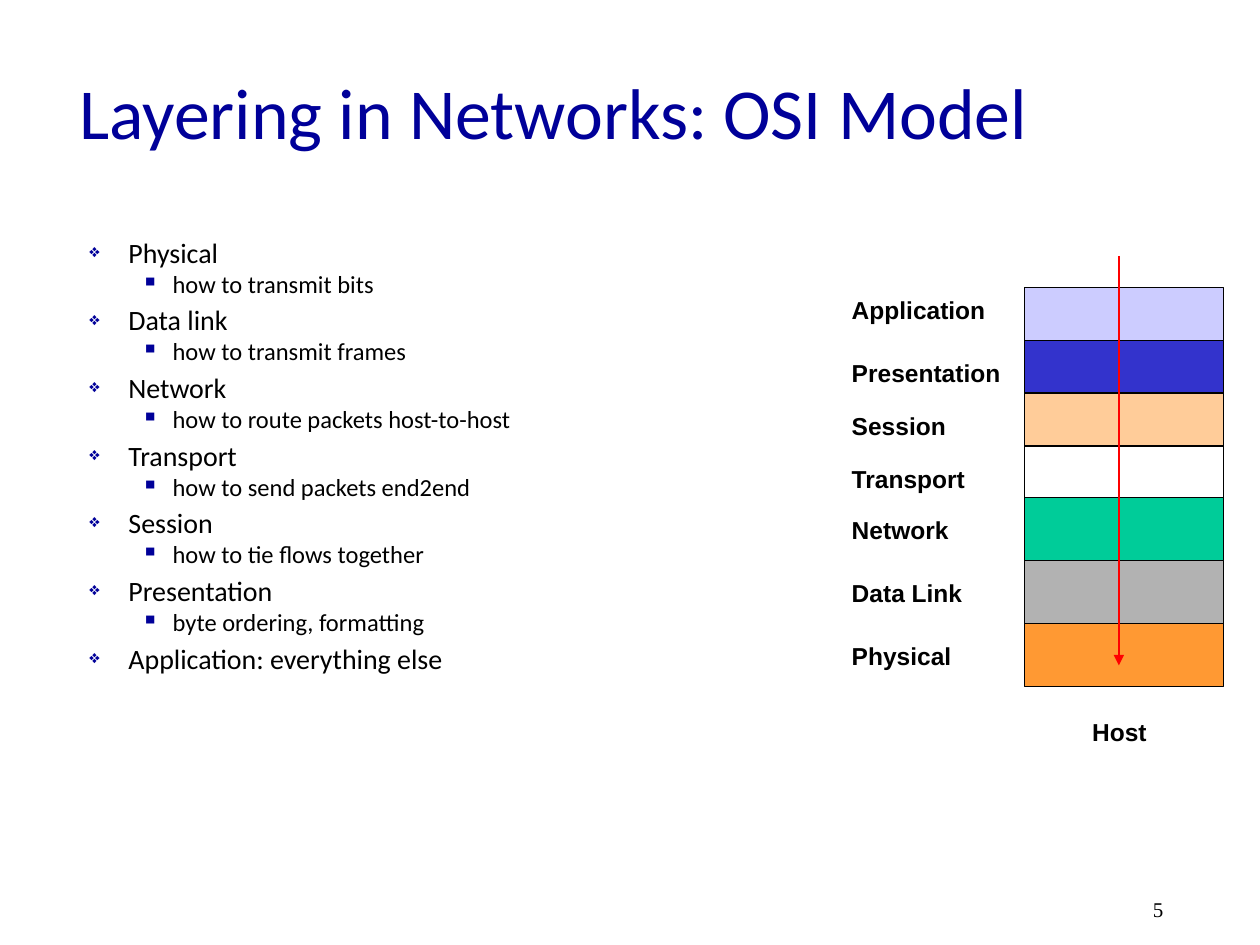
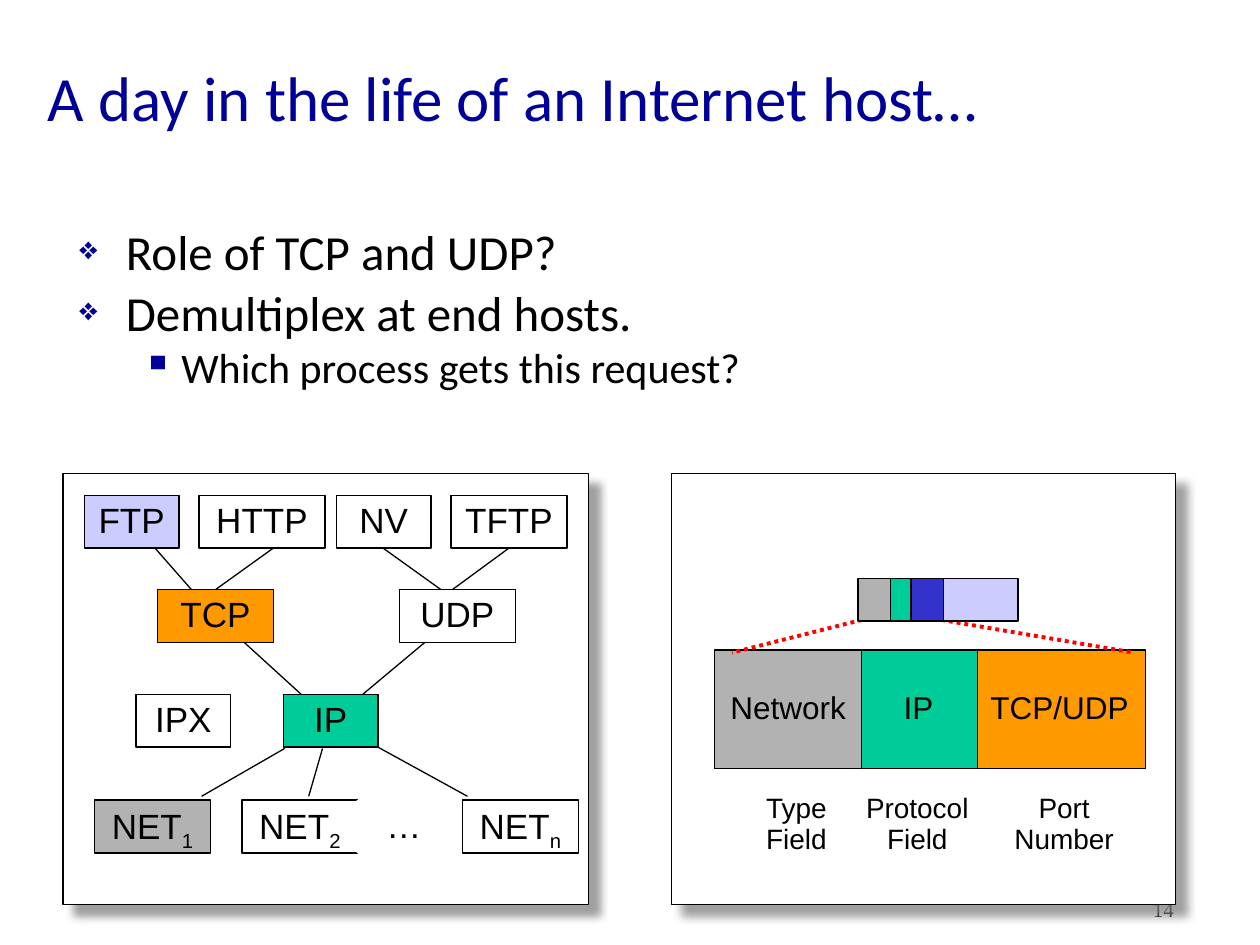
"""Build two lecture slides on network layering and demultiplexing."""
from dataclasses import dataclass
from typing import NamedTuple, Optional

from lxml import etree
from pptx import Presentation
from pptx.dml.color import RGBColor
from pptx.enum.dml import MSO_LINE
from pptx.enum.shapes import MSO_CONNECTOR, MSO_SHAPE
from pptx.enum.text import MSO_ANCHOR, PP_ALIGN
from pptx.oxml.ns import qn
from pptx.util import Inches, Pt

RECT, STRAIGHT = MSO_SHAPE.RECTANGLE, MSO_CONNECTOR.STRAIGHT
TOP, MIDDLE = MSO_ANCHOR.TOP, MSO_ANCHOR.MIDDLE
LEFT, CENTER = PP_ALIGN.LEFT, PP_ALIGN.CENTER
DOTTED = MSO_LINE.ROUND_DOT

NAVY, BLACK, WHITE, RED = "000099", "000000", "FFFFFF", "FF0000"
LAVENDER, BLUE, PEACH = "CCCCFF", "3333CC", "FFCC99"
GREEN, GREY, ORANGE, AMBER = "00CC99", "B2B2B2", "FF9933", "FF9900"


class Box(NamedTuple):
    """Left, top, width and height in inches."""
    left: float
    top: float
    width: float
    height: float


class Link(NamedTuple):
    """Start and end of a line in inches."""
    x1: float
    y1: float
    x2: float
    y2: float


@dataclass(frozen=True)
class TextStyle:
    """Look of a paragraph."""
    size: float
    font: str = "Arial"
    color: str = BLACK
    bold: bool = False
    align: PP_ALIGN = LEFT
    spacing: float = 0.93


@dataclass(frozen=True)
class Bullet:
    """Look of one outline level."""
    char: str
    text_size: float
    margin: float
    hang: float
    percent: int = 100
    before: float = 0


@dataclass(frozen=True)
class Layer:
    """One layer of the host stack."""
    name: str
    fill: str
    height: float
    label_drop: float = 0.08


@dataclass(frozen=True)
class Node:
    """One protocol box, with an optional subscript."""
    name: str
    left: float
    width: float
    fill: str = WHITE
    sub: str = ""
    line: Optional[str] = BLACK


LABEL = TextStyle(14, bold=True, spacing=1.05)
HOST = TextStyle(14, bold=True, align=CENTER, spacing=1.05)
NODE = TextStyle(20, align=CENTER)
FIELD = TextStyle(18, align=CENTER)
CAPTION = TextStyle(16, align=CENTER)
NUMBER = TextStyle(12, "Times New Roman", spacing=1)

OSI_LEVELS = (Bullet("❖", 16, 0.31, 0.31, 65, 3), Bullet("▪", 14, 0.66, 0.25))
HOST_LEVELS = (Bullet("❖", 28, 0.37, 0.37, 65, 6), Bullet("▪", 24, 0.81, 0.31))

OSI_OUTLINE = [
    (0, "Physical", 0.99), (1, "how to transmit bits", 0.99),
    (0, "Data link", 0.99), (1, "how to transmit frames", 0.99),
    (0, "Network", 0.99), (1, "how to route packets host-to-host", 0.99),
    (0, "Transport", 0.99), (1, "how to send packets end2end", 0.99),
    (0, "Session", 0.99), (1, "how to tie flows together", 0.99),
    (0, "Presentation", 0.99), (1, "byte ordering, formatting", 0.99),
    (0, "Application: everything else", 0.99),
]
HOST_OUTLINE = [
    (0, "Role of TCP and UDP?", 0.93),
    (0, "Demultiplex at end hosts.", 0.85),
    (1, "Which process gets this request?", 1.0),
]

LAYERS = [
    Layer("Application", LAVENDER, 0.42, 0), Layer("Presentation", BLUE, 0.42),
    Layer("Session", PEACH, 0.42), Layer("Transport", WHITE, 0.41),
    Layer("Network", GREEN, 0.5), Layer("Data Link", GREY, 0.5),
    Layer("Physical", ORANGE, 0.5),
]

NODE_ROWS = {
    3.93: [Node("FTP", 0.67, 0.75, LAVENDER), Node("HTTP", 1.58, 1),
           Node("NV", 2.67, 0.75), Node("TFTP", 3.58, 0.92)],
    4.68: [Node("TCP", 1.25, 0.92, AMBER), Node("UDP", 3.17, 0.92)],
    5.51: [Node("IPX", 1.08, 0.75), Node("IP", 2.25, 0.75, GREEN)],
    6.35: [Node("NET", 0.75, 0.92, GREY, "1"), Node("NET", 1.92, 0.92, sub="2"),
           Node("NET", 3.67, 0.92, sub="n"), Node("…", 2.83, 0.75, line=None)],
}
NODE_LINKS = [
    Link(1.23, 4.35, 1.52, 4.68), Link(2.17, 4.35, 1.71, 4.68),
    Link(3.04, 4.35, 3.5, 4.68), Link(4.04, 4.35, 3.59, 4.68),
    Link(1.94, 5.1, 2.39, 5.51), Link(3.37, 5.1, 2.88, 5.51),
    Link(3, 5.93, 3.71, 6.32), Link(2.26, 5.94, 1.6, 6.32),
    Link(2.56, 5.94, 2.45, 6.32),
]

HEADER_FIELDS = [Node("TCP/UDP", 7.73, 1.36, AMBER), Node("IP", 6.82, 0.94, GREEN),
                 Node("Network", 5.67, 1.17, GREY)]
FIELD_CAPTIONS = [("Type Field", 5.81, 1.02), ("Protocol Field", 6.64, 1.28),
                  ("Port Number", 7.8, 1.29)]
PACKET_PARTS = [(7.4, 0.68, LAVENDER), (7.15, 0.34, BLUE),
                (6.89, 0.34, GREEN), (6.81, 0.26, GREY)]
ZOOM_LINKS = [Link(6.84, 4.92, 5.81, 5.18), Link(7.47, 4.92, 9, 5.18)]


def rgb(value: str) -> RGBColor:
    """Turn a hex string into a colour."""
    return RGBColor.from_string(value)


def add_xml(parent, tag: str, **attrs):
    """Append a DrawingML element."""
    return etree.SubElement(parent, qn(tag), {k: str(v) for k, v in attrs.items()})


def set_frame(tf, anchor: MSO_ANCHOR, wrap: bool = True) -> None:
    """Set the insets, anchor and wrapping of a text frame."""
    tf.margin_left = tf.margin_right = tf.margin_top = tf.margin_bottom = Inches(0.05)
    tf.vertical_anchor, tf.word_wrap = anchor, wrap


def style_paragraph(p, style: TextStyle) -> None:
    """Apply a text style to a paragraph."""
    p.alignment, p.line_spacing = style.align, style.spacing
    p.font.name, p.font.size, p.font.bold = style.font, Pt(style.size), style.bold
    p.font.color.rgb = rgb(style.color)


def add_text(slide, box: Box, text: str, style: TextStyle,
             anchor: MSO_ANCHOR = TOP, wrap: bool = True) -> None:
    """Add a one-paragraph text box."""
    tf = slide.shapes.add_textbox(*map(Inches, box)).text_frame
    set_frame(tf, anchor, wrap)
    p = tf.paragraphs[0]
    p.add_run().text = text
    style_paragraph(p, style)


def add_outline(slide, box: Box, items, levels) -> None:
    """Add a two-level bulleted text box."""
    tf = slide.shapes.add_textbox(*map(Inches, box)).text_frame
    set_frame(tf, TOP)
    for i, (level, text, spacing) in enumerate(items):
        bullet = levels[level]
        p = tf.add_paragraph() if i else tf.paragraphs[0]
        p.add_run().text = text
        p.level, p.space_before = level, Pt(bullet.before)
        pPr = p._p.get_or_add_pPr()
        pPr.set("marL", str(Inches(bullet.margin)))
        pPr.set("indent", str(-Inches(bullet.hang)))
        add_xml(add_xml(pPr, "a:buClr"), "a:srgbClr", val=NAVY)
        add_xml(pPr, "a:buSzPct", val=bullet.percent * 1000)
        add_xml(pPr, "a:buChar", char=bullet.char)
        style_paragraph(p, TextStyle(bullet.text_size, "Calibri", spacing=spacing))


def add_box(slide, box: Box, fill: str, line: Optional[str] = BLACK):
    """Add a flat rectangle."""
    sp = slide.shapes.add_shape(RECT, *map(Inches, box))
    sp.shadow.inherit = False
    sp.fill.solid()
    sp.fill.fore_color.rgb = rgb(fill)
    if line:
        sp.line.color.rgb, sp.line.width = rgb(line), Pt(0.75)
    else:
        sp.line.fill.background()
    return sp


def add_node(slide, node: Node, top: float, height: float, style: TextStyle) -> None:
    """Add a labelled protocol box."""
    sp = add_box(slide, Box(node.left, top, node.width, height), node.fill, node.line)
    set_frame(sp.text_frame, MIDDLE)
    p = sp.text_frame.paragraphs[0]
    p.add_run().text = node.name
    if node.sub:
        r = p.add_run()
        r.text = node.sub
        r._r.get_or_add_rPr().set("baseline", "-25000")
    style_paragraph(p, style)
    for r in p.runs:
        r.font.color.rgb = rgb(style.color)


def add_panel(slide, box: Box) -> None:
    """Add a white panel with a soft drop shadow."""
    sp = add_box(slide, box, WHITE)
    shadow = add_xml(sp._element.spPr.find(qn("a:effectLst")), "a:outerShdw",
                     blurRad=Pt(5), dist=Pt(8.5), dir=45 * 60000,
                     algn="ctr", rotWithShape=0)
    add_xml(add_xml(shadow, "a:srgbClr", val="808080"), "a:alpha", val=75000)


def add_line(slide, link: Link, color: str = BLACK, width: float = 0.75):
    """Add a straight line without a shadow."""
    cxn = slide.shapes.add_connector(STRAIGHT, *map(Inches, link))
    cxn.line.color.rgb, cxn.line.width = rgb(color), Pt(width)
    add_xml(cxn._element.spPr, "a:effectLst")
    return cxn


def new_slide(prs, number: str, title: str, box: Box, style: TextStyle):
    """Add a slide with its number and title."""
    slide = prs.slides.add_slide(prs.slide_layouts[6])
    add_text(slide, Box(9.1, 7.07, 0.28, 0.3), number, NUMBER, wrap=False)
    add_text(slide, box, title, style, MIDDLE)
    return slide


def build_osi(prs) -> None:
    """Build the OSI model slide."""
    slide = new_slide(prs, "5", "Layering in Networks: OSI Model",
                      Box(0.58, 0.25, 8.5, 1.25),
                      TextStyle(41, "Calibri", NAVY, spacing=1.02))
    add_outline(slide, Box(0.66, 1.83, 5.65, 3.82), OSI_OUTLINE, OSI_LEVELS)
    top = 2.28
    for layer in LAYERS:
        add_box(slide, Box(8.13, top, 1.58, layer.height), layer.fill)
        add_text(slide, Box(6.71, top + layer.label_drop, 1.29, 0.32),
                 layer.name, LABEL, wrap=False)
        top += layer.height
    add_text(slide, Box(8.61, 5.63, 0.55, 0.32), "Host", HOST, wrap=False)
    arrow = add_line(slide, Link(8.88, 2.03, 8.88, 5.28), RED)
    add_xml(arrow.line._get_or_add_ln(), "a:tailEnd", type="triangle")


def build_host(prs) -> None:
    """Build the Internet host slide."""
    slide = new_slide(prs, "14", "A day in the life of an Internet host…",
                      Box(0.33, 0.03, 9.42, 1.53), TextStyle(36, "Calibri", NAVY))
    add_outline(slide, Box(0.58, 1.75, 8.5, 5.09), HOST_OUTLINE, HOST_LEVELS)
    for left, width in ((5.33, 4), (0.5, 4.17)):
        add_panel(slide, Box(left, 3.76, width, 3.42))
    for top, nodes in NODE_ROWS.items():
        for node in nodes:
            add_node(slide, node, top, 0.42, NODE)
    for link in NODE_LINKS:
        add_line(slide, link)
    for field in HEADER_FIELDS:
        add_node(slide, field, 5.16, 0.94, FIELD)
    for text, left, width in FIELD_CAPTIONS:
        add_text(slide, Box(left, 6.25, width, 0.58), text, CAPTION)
    for link in ZOOM_LINKS:
        add_line(slide, link, RED, 2.25).line.dash_style = DOTTED
    for left, width, fill in PACKET_PARTS:
        add_box(slide, Box(left, 4.59, width, 0.34), fill)


def main() -> None:
    """Build and save the presentation."""
    prs = Presentation()
    prs.slide_width, prs.slide_height = Inches(10), Inches(7.5)
    build_osi(prs)
    build_host(prs)
    prs.save("out.pptx")


if __name__ == "__main__":
    main()
